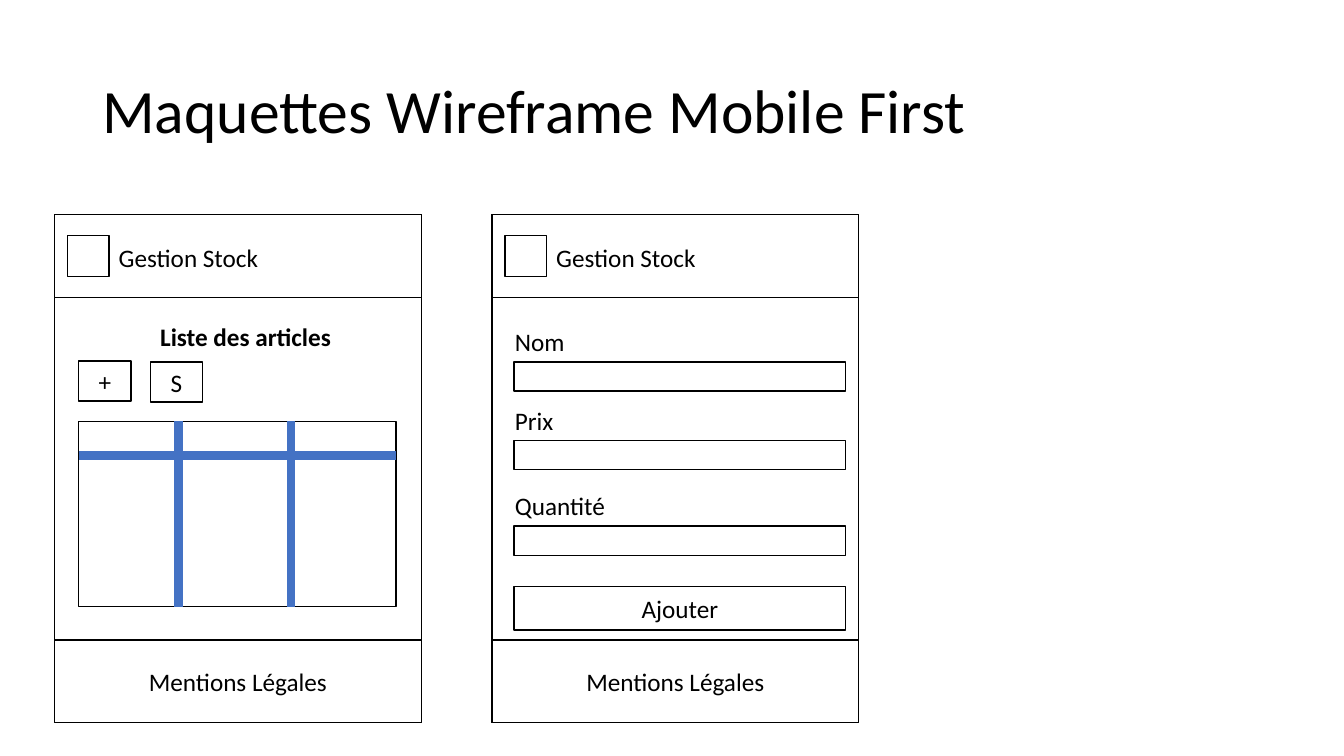
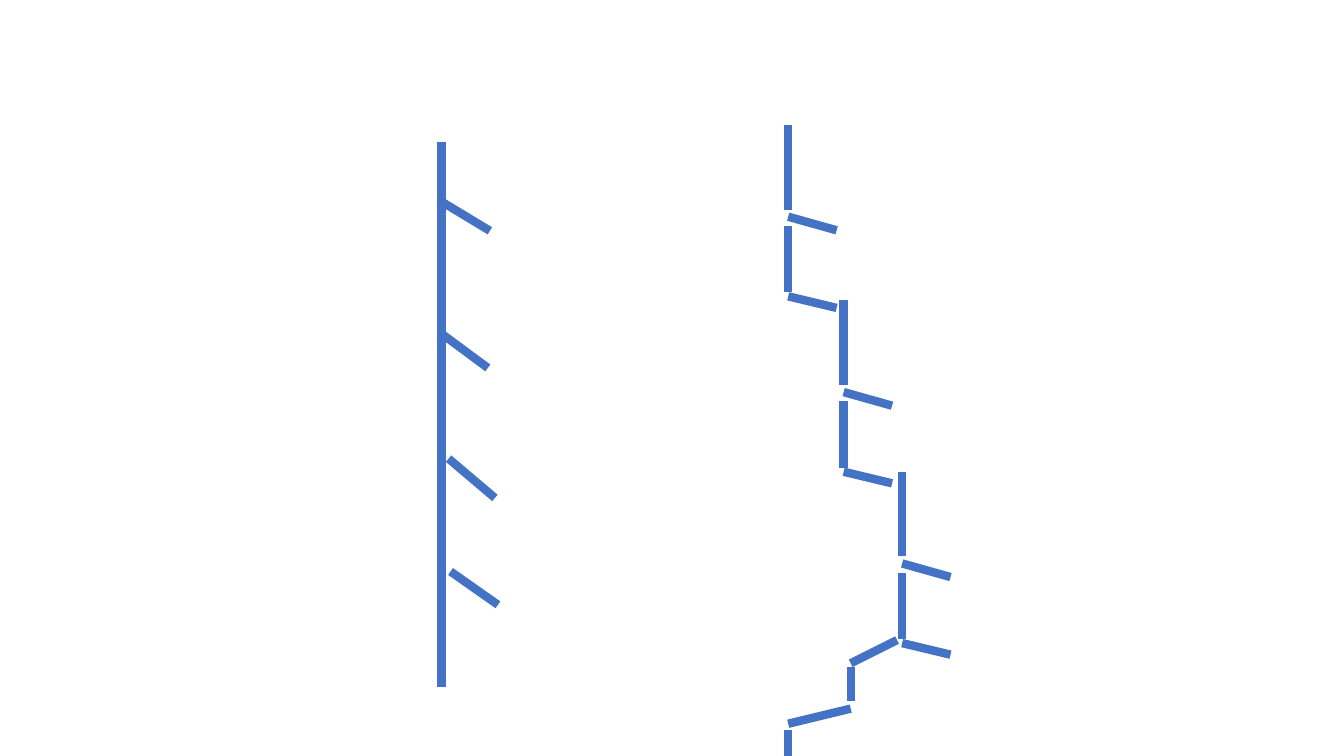
from dataclasses import dataclass
from typing import NamedTuple

from lxml import etree
from pptx import Presentation
from pptx import util as u
from pptx.dml.color import RGBColor
from pptx.enum import shapes, text
from pptx.oxml.ns import qn

COLS, ROWS = 160, 90


@dataclass(frozen=True)
class Theme:
    ink: RGBColor = RGBColor(0, 0, 0)
    paper: RGBColor = RGBColor(255, 255, 255)
    blue: RGBColor = RGBColor(0x44, 0x72, 0xC4)
    font: str = "Calibri"
    title: int = 44
    body: int = 18
    thin: int = 1
    thick: int = 6


class Box(NamedTuple):
    col: float
    row: float
    wide: float
    high: float

    def inset(self, col: float, row: float, wide: float, high: float) -> "Box":
        return Box(self.col + col, self.row + row, wide, high)


class Line(NamedTuple):
    col: float
    row: float
    to_col: float
    to_row: float

    def shift(self, col: float, row: float) -> "Line":
        return Line(self.col + col, self.row + row, self.to_col + col, self.to_row + row)


class Field(NamedTuple):
    label: str
    row: float


THEME = Theme()
PHONES = [Box(6.48 + 52.08 * n, 25.56, 43.68, 60.48) for n in range(2)]
BAND, ICON, TEXT_ROW = 9.84, 4.92, 4.8
FIELDS = [Field("Nom", 17.52), Field("Prix", 26.88), Field("Quantité", 37.08)]

TRUNK = [
    Line(52.56, 16.92, 52.56, 81.84),
    Line(52.56, 24, 58.32, 27.48),
    Line(52.56, 39.72, 58.08, 43.8),
    Line(53.4, 54.6, 58.92, 59.28),
    Line(53.64, 68.04, 59.28, 72),
]
STEP = [
    Line(0, 0, 0, 10.08),
    Line(0, 10.92, 5.76, 12.54),
    Line(0, 12, 0, 19.92),
    Line(0, 20.4, 5.76, 21.78),
]
STARTS = [(93.84, 14.88), (100.44, 35.76), (107.4, 56.16)]
BACK = [
    Line(106.8, 76.2, 101.28, 78.96),
    Line(101.28, 79.44, 101.28, 83.4),
    Line(101.28, 84.36, 93.84, 86.16),
    Line(93.84, 86.88, 93.84, ROWS),
]


class Pen:
    def __init__(self, deck) -> None:
        self.wide, self.high = deck.slide_width, deck.slide_height
        self.slide = deck.slides.add_slide(deck.slide_layouts[6])

    def across(self, col: float) -> u.Emu:
        return u.Emu(round(self.wide * col / COLS))

    def down(self, row: float) -> u.Emu:
        return u.Emu(round(self.high * row / ROWS))

    def place(self, box: Box) -> tuple:
        return (self.across(box.col), self.down(box.row),
                self.across(box.wide), self.down(box.high))

    def letter(self, frame, words: str, size: int, bold: bool = False):
        frame.text = words
        para = frame.paragraphs[0]
        font = para.runs[0].font
        font.name, font.size, font.bold = THEME.font, u.Pt(size), bold
        font.color.rgb = THEME.ink
        return para

    def rect(self, box: Box, words: str = "") -> None:
        shape = self.slide.shapes.add_shape(shapes.MSO_SHAPE.RECTANGLE, *self.place(box))
        shape.shadow.inherit = False
        shape.fill.solid()
        shape.fill.fore_color.rgb = THEME.paper
        shape.line.color.rgb = THEME.ink
        shape.line.width = u.Pt(THEME.thin)
        if words:
            shape.text_frame.vertical_anchor = text.MSO_ANCHOR.MIDDLE
            para = self.letter(shape.text_frame, words, THEME.body)
            para.alignment = text.PP_ALIGN.CENTER

    def label(self, box: Box, words: str, bold: bool = False) -> None:
        frame = self.slide.shapes.add_textbox(*self.place(box)).text_frame
        frame.word_wrap = False
        frame.auto_size = text.MSO_AUTO_SIZE.SHAPE_TO_FIT_TEXT
        self.letter(frame, words, THEME.body, bold)

    def title(self, box: Box, words: str) -> None:
        frame = self.slide.shapes.add_textbox(*self.place(box)).text_frame
        frame.word_wrap = True
        frame.vertical_anchor = text.MSO_ANCHOR.MIDDLE
        self.letter(frame, words, THEME.title).line_spacing = 0.9

    def line(self, line: Line) -> None:
        bar = self.slide.shapes.add_connector(
            shapes.MSO_CONNECTOR.STRAIGHT,
            self.across(line.col), self.down(line.row),
            self.across(line.to_col), self.down(line.to_row))
        bar.line.color.rgb = THEME.blue
        bar.line.width = u.Pt(THEME.thick)
        etree.SubElement(bar._element.spPr, qn("a:effectLst"))


def draw_phone(pen: Pen, phone: Box) -> None:
    pen.rect(phone)
    pen.rect(phone.inset(0, 0, phone.wide, BAND))
    pen.rect(phone.inset(0, phone.high - BAND, phone.wide, BAND), "Mentions Légales")
    pen.rect(phone.inset(1.56, (BAND - ICON) / 2, ICON, ICON))
    pen.label(phone.inset(1.56 + ICON, 2.64, 19.2, TEXT_ROW), "Gestion Stock")


def draw_list(pen: Pen, phone: Box) -> None:
    pen.label(phone.inset(11.4, 12.12, 22.92, TEXT_ROW), "Liste des articles", True)
    pen.rect(phone.inset(2.88, 17.4, 6.24, TEXT_ROW), "+")
    pen.rect(phone.inset(11.4, 17.52, 6.24, TEXT_ROW), "S")
    grid = phone.inset(2.88, 24.6, 37.8, 22.08)
    pen.rect(grid)
    pen.line(Line(0, 4.08, grid.wide, 4.08).shift(grid.col, grid.row))
    for col in (11.88, 25.32):
        pen.line(Line(col, 0, col, grid.high).shift(grid.col, grid.row))


def draw_form(pen: Pen, phone: Box) -> None:
    for field in FIELDS:
        pen.rect(phone.inset(2.64, field.row, 39.48, 3.48))
        pen.label(phone.inset(1.56, field.row - TEXT_ROW, 13.32, TEXT_ROW), field.label)
    pen.rect(phone.inset(2.64, 44.28, 39.48, 5.16), "Ajouter")


def draw_frames(pen: Pen) -> None:
    pen.title(Box(11, 4.8, 138, 17.4), "Maquettes Wireframe Mobile First")
    for phone, fill in zip(PHONES, (draw_list, draw_form)):
        draw_phone(pen, phone)
        fill(pen, phone)


def draw_paths(pen: Pen) -> None:
    stairs = [part.shift(*start) for start in STARTS for part in STEP]
    for line in TRUNK + stairs + BACK:
        pen.line(line)


def main() -> None:
    deck = Presentation()
    deck.slide_width, deck.slide_height = u.Inches(COLS / 12), u.Inches(ROWS / 12)
    for draw in (draw_frames, draw_paths):
        draw(Pen(deck))
    deck.save("out.pptx")


if __name__ == "__main__":
    main()
